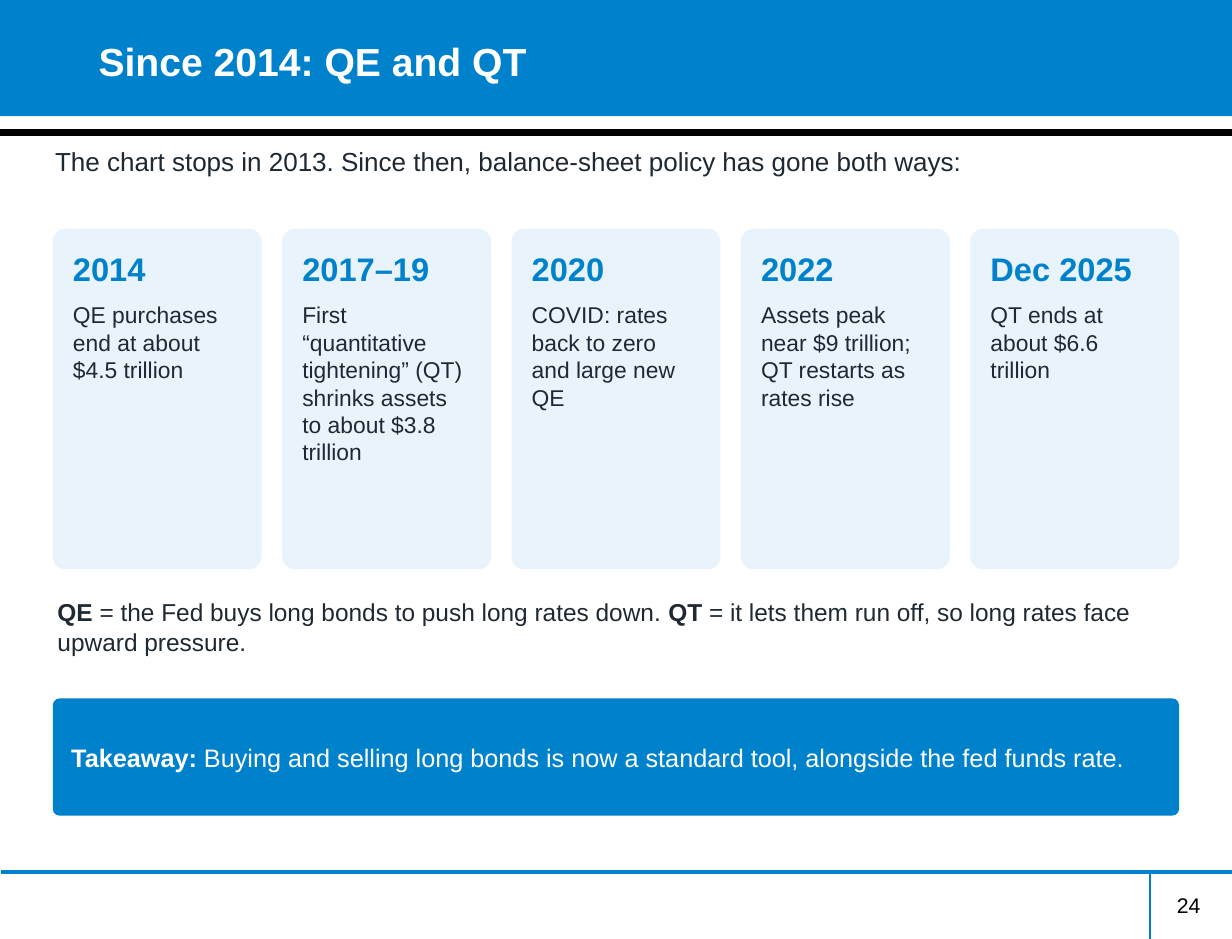
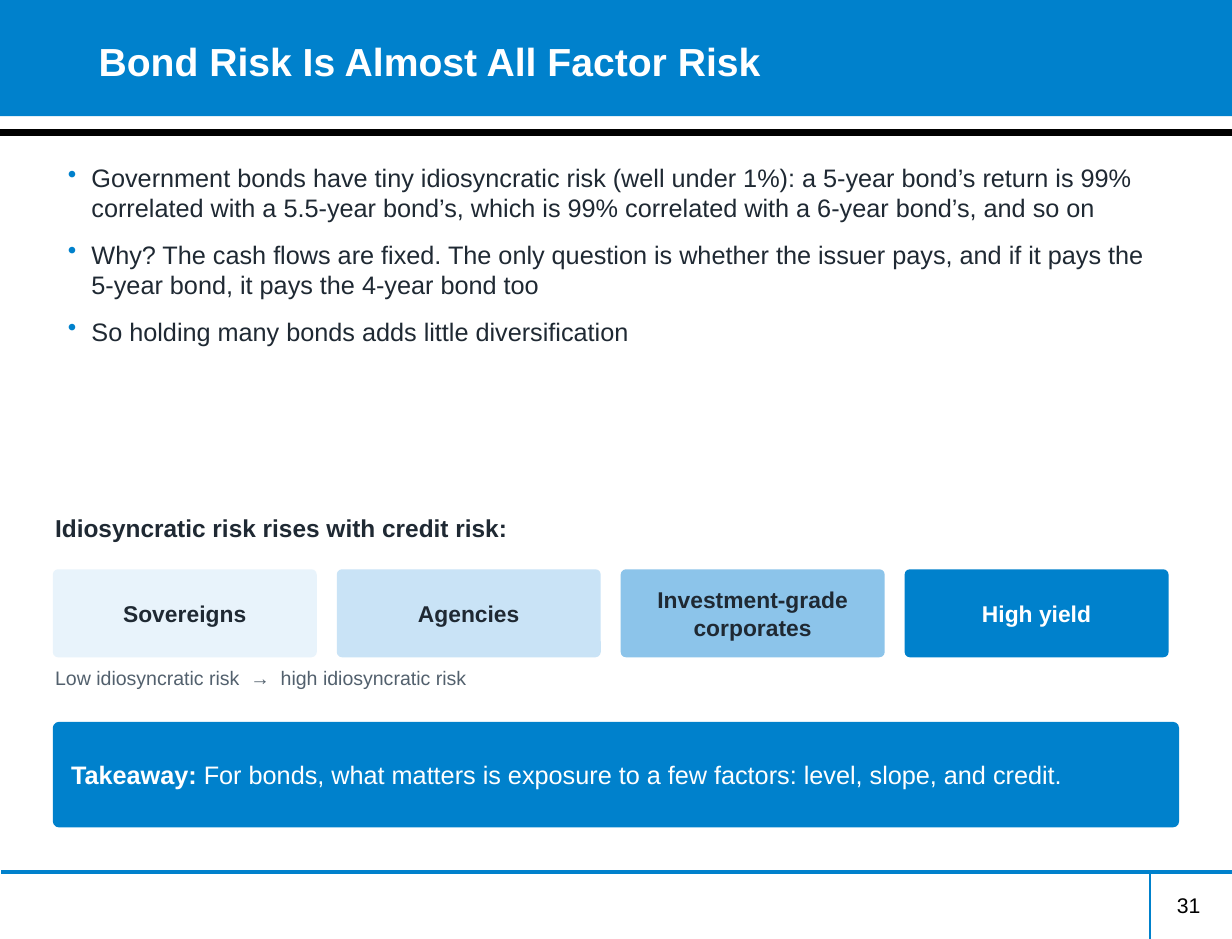
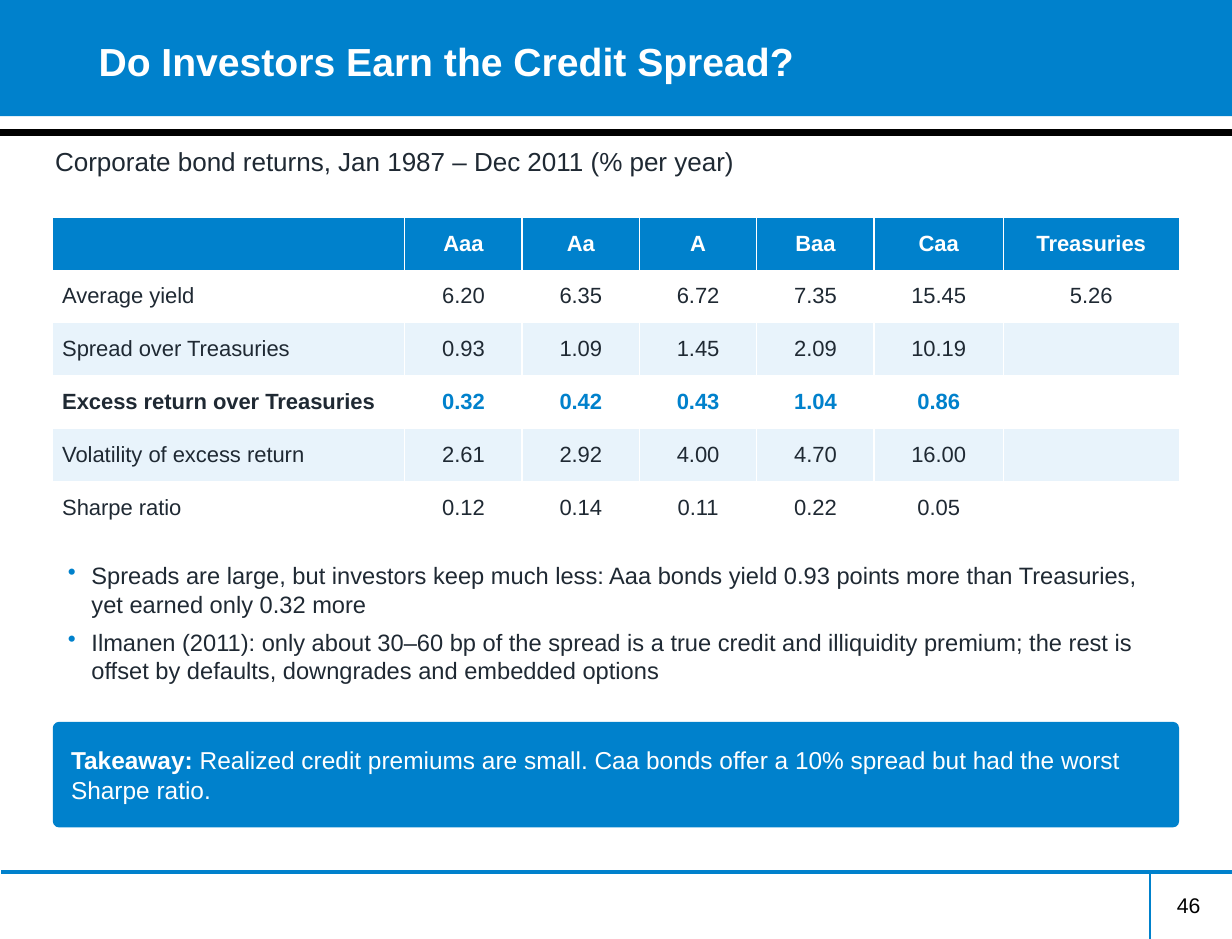
from lxml import etree
from pptx import Presentation
from pptx.dml.color import RGBColor
from pptx.enum.shapes import MSO_CONNECTOR, MSO_SHAPE
from pptx.enum.text import MSO_ANCHOR, MSO_AUTO_SIZE, PP_ALIGN
from pptx.oxml.ns import qn
from pptx.util import Inches, Pt

STRAIGHT = MSO_CONNECTOR.STRAIGHT
RECTANGLE = MSO_SHAPE.RECTANGLE
ROUNDED = MSO_SHAPE.ROUNDED_RECTANGLE
TOP, MIDDLE = MSO_ANCHOR.TOP, MSO_ANCHOR.MIDDLE
LEFT, CENTER, RIGHT = PP_ALIGN.LEFT, PP_ALIGN.CENTER, PP_ALIGN.RIGHT
NO_AUTOFIT = MSO_AUTO_SIZE.NONE

FONT = "Arial"
BLUE, PALE, WHITE, BLACK = "0081CC", "E8F3FB", "FFFFFF", "000000"
INK, GRAY = "1F2933", "52606D"
MARGIN, CONTENT_WIDTH = 0.45, 9.6
TITLE_INSETS = (0.11, 0.05)

RULES = [
    ((0, 1.13), (10.5, 1.13), BLACK, 4),
    ((0.01, 7.43), (10.51, 7.43), BLUE, 2),
    ((9.8, 7.43), (9.8, 8), BLUE, 1),
]

POLICY_INTRO = "The chart stops in 2013. Since then, balance-sheet policy has gone both ways:"
POLICY_STEPS = [
    ("2014", "QE purchases end at about $4.5 trillion"),
    ("2017–19", "First “quantitative tightening” (QT) shrinks assets to about $3.8 trillion"),
    ("2020", "COVID: rates back to zero and large new QE"),
    ("2022", "Assets peak near $9 trillion; QT restarts as rates rise"),
    ("Dec 2025", "QT ends at about $6.6 trillion"),
]
DEFINITIONS = [
    ("QE", True),
    (" = the Fed buys long bonds to push long rates down. ", False),
    ("QT", True),
    (" = it lets them run off, so long rates face upward pressure.", False),
]
POLICY_TAKEAWAY = "Buying and selling long bonds is now a standard tool, alongside the fed funds rate."

FACTOR_POINTS = [
    "Government bonds have tiny idiosyncratic risk (well under 1%): a 5-year bond’s return is 99% "
    "correlated with a 5.5-year bond’s, which is 99% correlated with a 6-year bond’s, and so on",
    "Why? The cash flows are fixed. The only question is whether the issuer pays, and if it pays the "
    "5-year bond, it pays the 4-year bond too",
    "So holding many bonds adds little diversification",
]
LADDER_HEADING = "Idiosyncratic risk rises with credit risk:"
LADDER = [
    ("Sovereigns", PALE, INK),
    ("Agencies", "C9E3F6", INK),
    ("Investment-grade corporates", "8CC4EA", INK),
    ("High yield", BLUE, WHITE),
]
LADDER_CAPTION = "Low idiosyncratic risk  →  high idiosyncratic risk"
FACTOR_TAKEAWAY = "For bonds, what matters is exposure to a few factors: level, slope, and credit."

RETURNS_INTRO = "Corporate bond returns, Jan 1987 – Dec 2011 (% per year)"
RETURNS = [
    ["", "Aaa", "Aa", "A", "Baa", "Caa", "Treasuries"],
    ["Average yield", "6.20", "6.35", "6.72", "7.35", "15.45", "5.26"],
    ["Spread over Treasuries", "0.93", "1.09", "1.45", "2.09", "10.19", ""],
    ["Excess return over Treasuries", "0.32", "0.42", "0.43", "1.04", "0.86", ""],
    ["Volatility of excess return", "2.61", "2.92", "4.00", "4.70", "16.00", ""],
    ["Sharpe ratio", "0.12", "0.14", "0.11", "0.22", "0.05", ""],
]
RETURN_WIDTHS = [3, 1, 1, 1, 1, 1.1, 1.5]
HIGHLIGHT_ROW = 3
ROW_HEIGHT = 0.45
RETURN_POINTS = [
    "Spreads are large, but investors keep much less: Aaa bonds yield 0.93 points more than Treasuries, "
    "yet earned only 0.32 more",
    "Ilmanen (2011): only about 30–60 bp of the spread is a true credit and illiquidity premium; the rest "
    "is offset by defaults, downgrades and embedded options",
]
RETURNS_TAKEAWAY = ("Realized credit premiums are small. Caa bonds offer a 10% spread "
                    "but had the worst Sharpe ratio.")


def color(value):
    return RGBColor.from_string(value)


def fill_with(target, value):
    target.fill.solid()
    target.fill.fore_color.rgb = color(value)


def prepare_frame(frame, insets, anchor=TOP):
    horizontal, vertical = insets
    frame.margin_left = frame.margin_right = Inches(horizontal)
    frame.margin_top = frame.margin_bottom = Inches(vertical)
    frame.vertical_anchor = anchor
    frame.word_wrap = True
    frame.auto_size = NO_AUTOFIT


def write(paragraph, runs, size, ink=INK, align=LEFT, after=0):
    paragraph.alignment = align
    paragraph.space_after = Pt(after)
    for text, bold in runs:
        run = paragraph.add_run()
        run.text = text
        run.font.name = FONT
        run.font.size = Pt(size)
        run.font.bold = bold
        run.font.color.rgb = color(ink)


def add_bullet(paragraph):
    properties = paragraph._p.get_or_add_pPr()
    properties.set("marL", str(Inches(0.25)))
    properties.set("indent", str(Inches(-0.2)))
    bullet_color = etree.SubElement(properties, qn("a:buClr"))
    etree.SubElement(bullet_color, qn("a:srgbClr"), val=BLUE)
    etree.SubElement(properties, qn("a:buChar"), char="•")


def add_text(slide, box, runs, size, inset, ink=INK):
    frame = slide.shapes.add_textbox(*map(Inches, box)).text_frame
    prepare_frame(frame, (inset, inset))
    write(frame.paragraphs[0], runs, size, ink, after=4)


def add_bullets(slide, box, points, size, after):
    frame = slide.shapes.add_textbox(*map(Inches, box)).text_frame
    prepare_frame(frame, (0.08, 0.08))
    for index, point in enumerate(points):
        paragraph = frame.add_paragraph() if index else frame.paragraphs[0]
        add_bullet(paragraph)
        write(paragraph, [(point, False)], size, after=after)


def add_panel(slide, box, fill, kind=ROUNDED, inset=0.14, anchor=MIDDLE):
    panel = slide.shapes.add_shape(kind, *map(Inches, box))
    panel.shadow.inherit = False
    fill_with(panel, fill)
    panel.line.fill.background()
    if kind == ROUNDED:
        panel.adjustments[0] = 0.06
    prepare_frame(panel.text_frame, (inset, inset), anchor)
    return panel.text_frame


def add_rule(slide, start, end, ink, width):
    rule = slide.shapes.add_connector(STRAIGHT, *map(Inches, start + end))
    rule.line.color.rgb = color(ink)
    rule.line.width = Pt(width)
    etree.SubElement(rule.element.spPr, qn("a:effectLst"))


def add_takeaway(slide, text, top=6.15, height=0.9, size=15.5):
    frame = add_panel(slide, (MARGIN, top, CONTENT_WIDTH, height), BLUE)
    write(frame.paragraphs[0], [("Takeaway: ", True), (text, False)], size, WHITE, after=4)


def add_intro(slide, text):
    add_text(slide, (MARGIN, 1.22, CONTENT_WIDTH, 0.5), [(text, False)], 16, 0.02)


def start_slide(presentation, heading, number):
    slide = presentation.slides.add_slide(presentation.slide_layouts[5])
    add_panel(slide, (0, 0, 10.5, 0.99), BLUE, RECTANGLE)
    for rule in RULES:
        add_rule(slide, *rule)
    title = slide.shapes.title
    title.left, title.top, title.width, title.height = map(Inches, (0.73, -0.15, 9.45, 1.33))
    title.element.getparent().append(title.element)
    prepare_frame(title.text_frame, TITLE_INSETS, MIDDLE)
    write(title.text_frame.paragraphs[0], [(heading, True)], 24, WHITE)
    page = slide.shapes.add_textbox(*map(Inches, (7.89, 7.55, 2.45, 0.56))).text_frame
    prepare_frame(page, TITLE_INSETS)
    write(page.paragraphs[0], [(str(number), False)], 13, BLACK, RIGHT)
    return slide


def add_cell_borders(cell):
    properties = cell._tc.get_or_add_tcPr()
    for position, side in enumerate(("a:lnT", "a:lnB")):
        border = etree.Element(qn(side), w=str(Pt(0.5)))
        solid = etree.SubElement(border, qn("a:solidFill"))
        etree.SubElement(solid, qn("a:srgbClr"), val=WHITE)
        properties.insert(position, border)


def add_returns_table(slide):
    box = (MARGIN, 1.85, CONTENT_WIDTH, ROW_HEIGHT * len(RETURNS))
    table = slide.shapes.add_table(len(RETURNS), len(RETURN_WIDTHS), *map(Inches, box)).table
    table.horz_banding = False
    for column, width in zip(table.columns, RETURN_WIDTHS):
        column.width = Inches(width)
    for row_index, values in enumerate(RETURNS):
        header, highlight = row_index == 0, row_index == HIGHLIGHT_ROW
        fill = BLUE if header else (WHITE if row_index % 2 else PALE)
        for column_index, value in enumerate(values):
            cell = table.cell(row_index, column_index)
            fill_with(cell, fill)
            add_cell_borders(cell)
            cell.margin_left = cell.margin_right = Inches(0.08)
            cell.margin_top = cell.margin_bottom = Inches(0.04)
            cell.vertical_anchor = MIDDLE
            ink = WHITE if header else BLUE if highlight and column_index else INK
            if value:
                write(cell.text_frame.paragraphs[0], [(value, header or highlight)], 13.5, ink,
                      CENTER if column_index else LEFT)


def build_policy_slide(presentation):
    slide = start_slide(presentation, "Since 2014: QE and QT", 24)
    add_intro(slide, POLICY_INTRO)
    card_width = 1.78
    pitch = (CONTENT_WIDTH - card_width) / (len(POLICY_STEPS) - 1)
    for index, (date, event) in enumerate(POLICY_STEPS):
        frame = add_panel(slide, (MARGIN + index * pitch, 1.95, card_width, 2.9), PALE, anchor=TOP)
        write(frame.paragraphs[0], [(date, True)], 20, BLUE, after=8)
        write(frame.add_paragraph(), [(event, False)], 14, after=4)
    add_text(slide, (MARGIN, 5.05, CONTENT_WIDTH, 0.7), DEFINITIONS, 15, 0.04)
    add_takeaway(slide, POLICY_TAKEAWAY, top=5.95, height=1)


def build_factor_slide(presentation):
    slide = start_slide(presentation, "Bond Risk Is Almost All Factor Risk", 31)
    add_bullets(slide, (MARGIN, 1.3, CONTENT_WIDTH, 3), FACTOR_POINTS, 15.5, 10)
    add_text(slide, (MARGIN, 4.35, CONTENT_WIDTH, 0.4), [(LADDER_HEADING, True)], 15, 0.02)
    step_width, gap = 2.25, 0.17
    for index, (label, fill, ink) in enumerate(LADDER):
        left = MARGIN + index * (step_width + gap)
        frame = add_panel(slide, (left, 4.85, step_width, 0.75), fill, inset=0.06)
        write(frame.paragraphs[0], [(label, True)], 14, ink, CENTER, 4)
    add_text(slide, (MARGIN, 5.65, CONTENT_WIDTH, 0.35), [(LADDER_CAPTION, False)], 12, 0.02, GRAY)
    add_takeaway(slide, FACTOR_TAKEAWAY)


def build_returns_slide(presentation):
    slide = start_slide(presentation, "Do Investors Earn the Credit Spread?", 46)
    add_intro(slide, RETURNS_INTRO)
    add_returns_table(slide)
    add_bullets(slide, (MARGIN, 4.7, CONTENT_WIDTH, 1.3), RETURN_POINTS, 14.5, 6)
    add_takeaway(slide, RETURNS_TAKEAWAY, size=15)


def main():
    presentation = Presentation()
    presentation.slide_width = Inches(10.5)
    presentation.slide_height = Inches(8)
    build_policy_slide(presentation)
    build_factor_slide(presentation)
    build_returns_slide(presentation)
    presentation.save("out.pptx")


if __name__ == "__main__":
    main()
